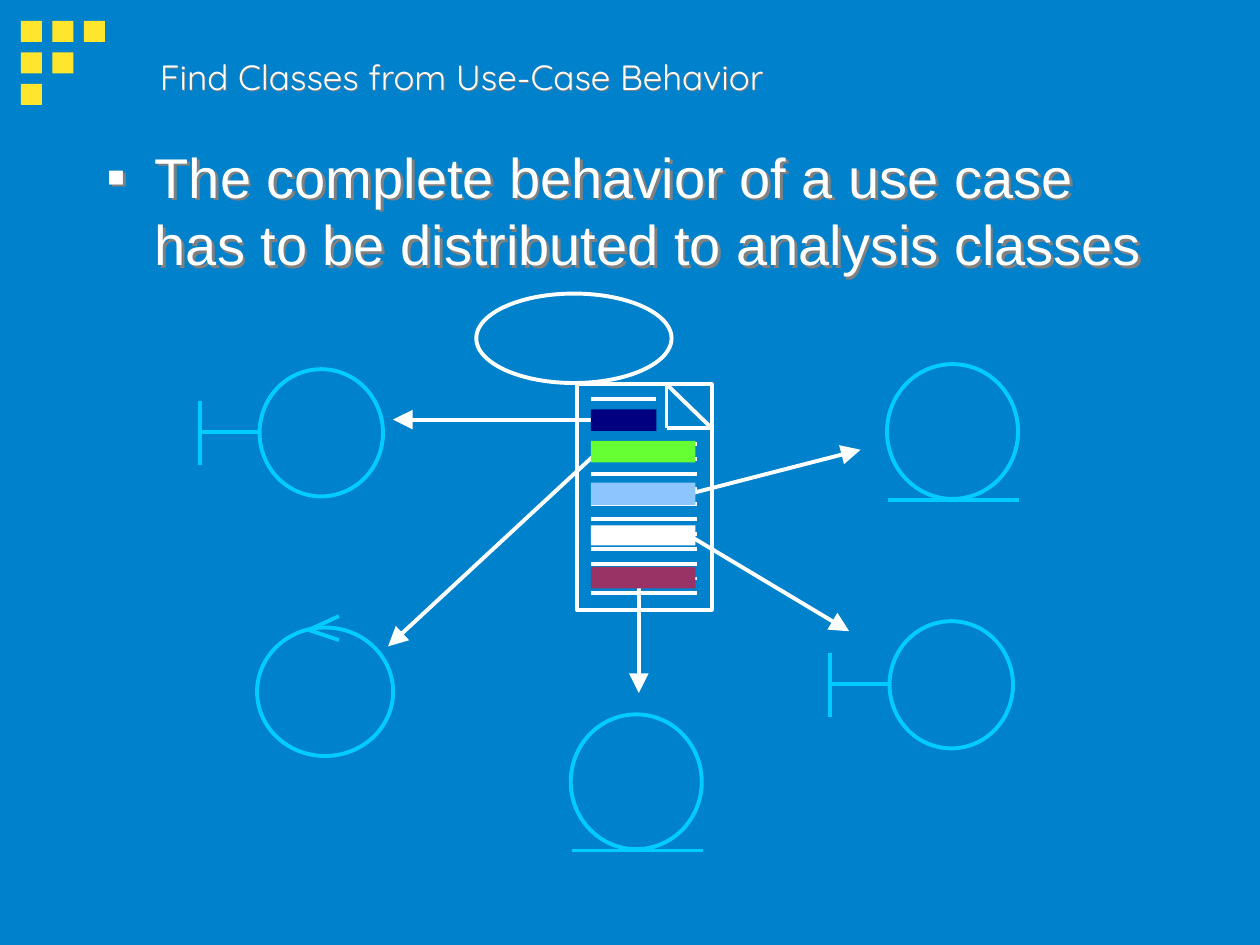
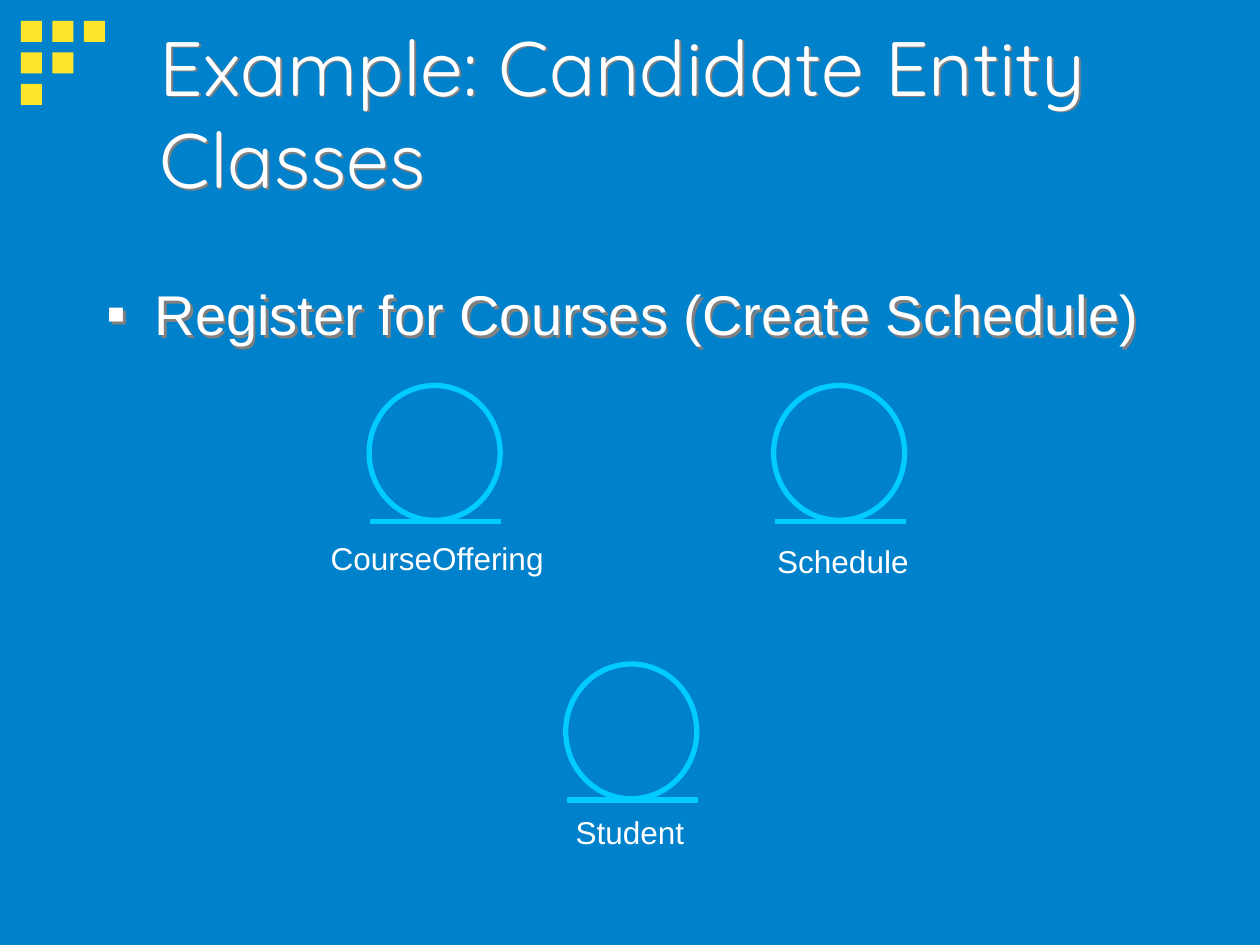
import pptx
import pptx.util
import pptx.dml.color
import pptx.enum.shapes
import pptx.enum.text
import pptx.oxml.ns
from dataclasses import dataclass
from lxml import etree

Inches = pptx.util.Inches
Pt = pptx.util.Pt
SHAPES = pptx.enum.shapes.MSO_SHAPE
ALIGN = pptx.enum.text.PP_ALIGN
ANCHOR = pptx.enum.text.MSO_ANCHOR
qn = pptx.oxml.ns.qn


@dataclass(frozen=True)
class Theme:
    background: str = "0081CB"
    accent: str = "FFE62D"
    text: str = "FFFFFF"
    icon: str = "00CCFF"
    shadow: str = "808080"
    passages: tuple = ("000080", "66FF33", "8DC6FF", "FFFFFF", "993366")
    title_font: str = "Quicksand"
    body_font: str = "Arial"
    small_title: int = 20
    large_title: int = 44
    body_size: int = 32
    label_size: int = 18
    thin: float = 2.25
    thick: float = 3


THEME = Theme()


def rgb(value):
    return pptx.dml.color.RGBColor.from_string(value)


def add_figure(slide, kind, box, fill=None, line=None, weight=THEME.thin):
    figure = slide.shapes.add_shape(kind, *map(Inches, box))
    figure.shadow.inherit = False
    if fill:
        figure.fill.solid()
        figure.fill.fore_color.rgb = rgb(fill)
    else:
        figure.fill.background()
    if line:
        figure.line.color.rgb = rgb(line)
        figure.line.width = Pt(weight)
    else:
        figure.line.fill.background()


def add_line(slide, origin, start, end, color, weight=THEME.thin, arrow=False):
    left, top = origin
    stroke = slide.shapes.add_connector(
        pptx.enum.shapes.MSO_CONNECTOR.STRAIGHT,
        Inches(left + start[0]), Inches(top + start[1]),
        Inches(left + end[0]), Inches(top + end[1]))
    stroke.line.color.rgb = rgb(color)
    stroke.line.width = Pt(weight)
    properties = stroke._element.spPr
    if arrow:
        etree.SubElement(properties.find(qn("a:ln")), qn("a:tailEnd"),
                         type="triangle", w="lg", len="lg")
    etree.SubElement(properties, qn("a:effectLst"))


def add_text(slide, box, words, font, size, inset=(0.1, 0.05), wrap=True, shadow=0):
    words_box = slide.shapes.add_textbox(*map(Inches, box))
    if shadow:
        effects = etree.SubElement(words_box._element.spPr, qn("a:effectLst"))
        cast = etree.SubElement(effects, qn("a:outerShdw"), dist=str(Inches(shadow)),
                                dir="2700000", algn="tl")
        etree.SubElement(cast, qn("a:srgbClr"), val=THEME.shadow)
    frame = words_box.text_frame
    frame.word_wrap = wrap
    frame.margin_left = frame.margin_right = Inches(inset[0])
    frame.margin_top = frame.margin_bottom = Inches(inset[1])
    run = frame.paragraphs[0].add_run()
    run.text = words
    run.font.size = Pt(size)
    run.font.color.rgb = rgb(THEME.text)
    run.font.name = font
    return frame


def add_corner_squares(slide):
    size, pitch = 1 / 6, 1 / 4
    for row in range(3):
        for column in range(3 - row):
            add_figure(slide, SHAPES.RECTANGLE,
                       (size + column * pitch, size + row * pitch, size, size),
                       fill=THEME.accent)


def add_title(slide, box, words, size):
    shadow = 0.02 if size == THEME.large_title else 0.01
    frame = add_text(slide, box, words, THEME.title_font, size, shadow=shadow)
    frame.vertical_anchor = ANCHOR.MIDDLE


def add_bullet(slide, box, words):
    frame = add_text(slide, box, words, THEME.body_font, THEME.body_size, shadow=0.03)
    properties = frame.paragraphs[0]._p.get_or_add_pPr()
    properties.set("marL", str(Inches(0.38)))
    properties.set("indent", str(-Inches(0.38)))
    color = etree.SubElement(properties, qn("a:buClr"))
    etree.SubElement(color, qn("a:srgbClr"), val=THEME.text)
    etree.SubElement(properties, qn("a:buFont"), typeface=THEME.body_font)
    etree.SubElement(properties, qn("a:buChar"), char="▪")


def start_slide(deck, title, title_box, title_size, bullet, bullet_box):
    slide = deck.slides.add_slide(deck.slide_layouts[6])
    slide.background.fill.solid()
    slide.background.fill.fore_color.rgb = rgb(THEME.background)
    add_corner_squares(slide)
    add_title(slide, title_box, title, title_size)
    add_bullet(slide, bullet_box, bullet)
    return slide


def add_entity(slide, left, top, weight=THEME.thin):
    add_figure(slide, SHAPES.OVAL, (left, top, 1.04, 1.07), line=THEME.icon, weight=weight)
    add_line(slide, (left, top), (0.01, 1.08), (1.05, 1.08), THEME.icon, weight)


def add_control(slide, left, top):
    add_figure(slide, SHAPES.OVAL, (left, top, 1.08, 1.02), line=THEME.icon)
    for barb in (-0.09, 0.1):
        add_line(slide, (left, top), (0.65, barb), (0.41, 0.02), THEME.icon)


def add_boundary(slide, left, top):
    add_figure(slide, SHAPES.OVAL, (left, top, 0.98, 1.01), line=THEME.icon)
    add_line(slide, (left, top), (-0.47, 0.25), (-0.47, 0.76), THEME.icon)
    add_line(slide, (left, top), (-0.47, 0.5), (0, 0.5), THEME.icon)


def add_use_case_document(slide, left, top):
    origin = left, top
    short_end, long_end, margin = 0.63, 0.95, 0.11
    add_figure(slide, SHAPES.OVAL, (left - 0.8, top - 0.72, 1.55, 0.71), line=THEME.text)
    add_figure(slide, SHAPES.RECTANGLE, (left, top, 1.07, 1.79), line=THEME.text)

    fold = [(0.71, 0), (1.07, 0.35), (0.71, 0.35)]
    for index, corner in enumerate(fold):
        add_line(slide, origin, corner, fold[(index + 1) % 3], THEME.text)

    for row in range(14):
        height = 0.12 + row * 1.54 / 13
        end = short_end if row < 3 else long_end
        add_line(slide, origin, (margin, height), (end, height), THEME.text)

    flows = [
        ((0.23, 0.28), (-1.46, 0.28)),
        ((0.89, 0.87), (2.25, 0.52)),
        ((0.49, 1.45), (0.49, 2.45)),
        ((0.89, 1.2), (2.16, 1.96)),
        ((0.14, 0.56), (-1.5, 2.08)),
    ]
    for start, end in flows:
        add_line(slide, origin, start, end, THEME.text, arrow=True)

    passages = [(0.2, 0.52, 0.17), (0.45, 0.83, 0.17), (0.78, 0.83, 0.18),
                (1.12, 0.83, 0.16), (1.45, 0.83, 0.17)]
    for (offset, width, height), color in zip(passages, THEME.passages):
        add_figure(slide, SHAPES.RECTANGLE,
                   (left + margin, top + offset, width, height), fill=color)


def add_named_entity(slide, left, top, name, label_center, label_drop):
    width = 2
    add_entity(slide, left, top, THEME.thick)
    label = add_text(slide, (left + label_center - width / 2, top + label_drop, width, 0.3),
                     name, THEME.body_font, THEME.label_size, inset=(0, 0), wrap=False)
    label.paragraphs[0].alignment = ALIGN.CENTER


def build_behavior_slide(deck):
    slide = start_slide(
        deck, "Find Classes from Use-Case Behavior", (1.17, 0.38, 8.5, 0.46),
        THEME.small_title,
        "The complete behavior of a use case has to be distributed to analysis classes",
        (0.75, 1.08, 8.5, 5.33))
    add_use_case_document(slide, 4.58, 3.05)
    add_entity(slide, 7.04, 2.89)
    add_entity(slide, 4.53, 5.67)
    add_control(slide, 2.04, 4.98)
    add_boundary(slide, 2.06, 2.93)
    add_boundary(slide, 7.06, 4.93)


def build_entities_slide(deck):
    slide = start_slide(
        deck, "Example: Candidate Entity Classes", (1.17, 0.26, 8.5, 1.25),
        THEME.large_title,
        "Register for Courses (Create Schedule)", (0.75, 2.17, 8.5, 4.5))
    add_named_entity(slide, 4.49, 5.27, "Student", 0.51, 1.18)
    add_named_entity(slide, 6.14, 3.06, "Schedule", 0.55, 1.24)
    add_named_entity(slide, 2.93, 3.06, "CourseOffering", 0.54, 1.22)


def main():
    deck = pptx.Presentation()
    deck.slide_width = Inches(10)
    deck.slide_height = Inches(7.5)
    build_behavior_slide(deck)
    build_entities_slide(deck)
    deck.save("out.pptx")


if __name__ == "__main__":
    main()
